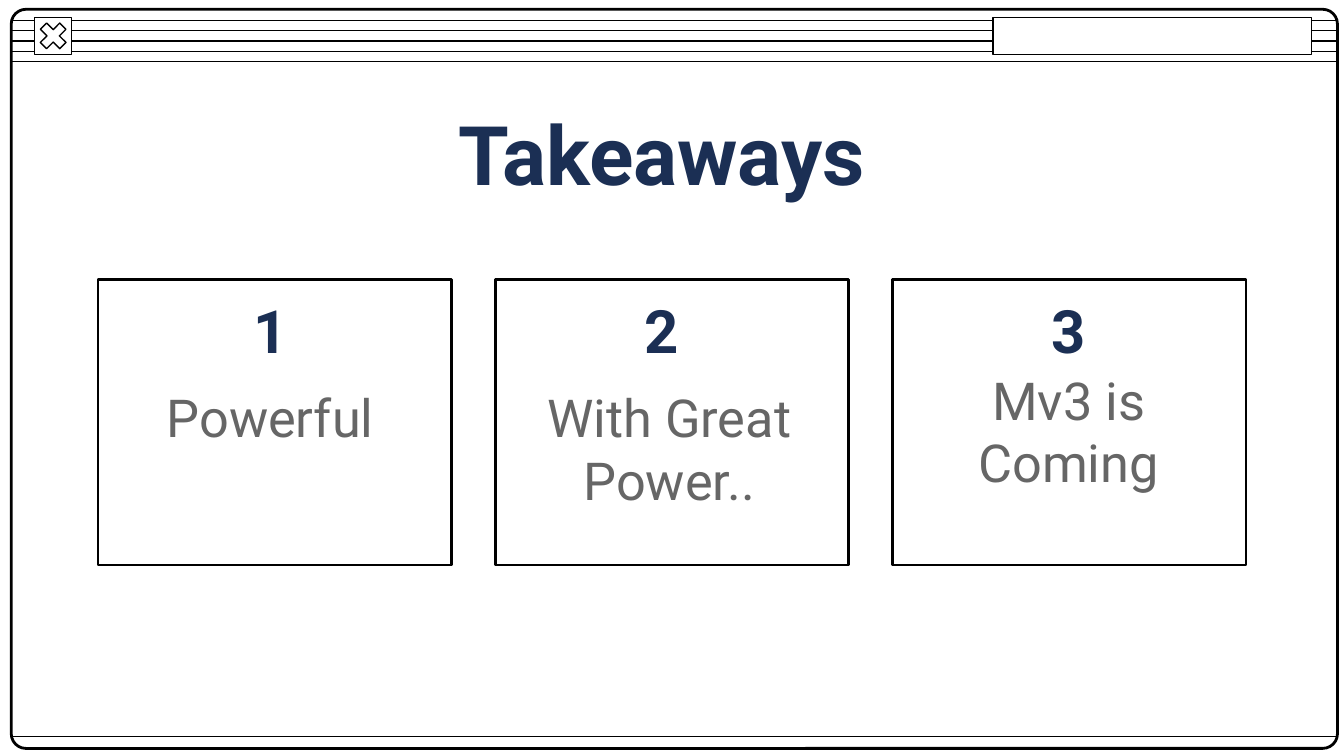
from lxml import etree
from pptx import Presentation
from pptx.dml.color import RGBColor
from pptx.enum.shapes import MSO_CONNECTOR, MSO_SHAPE
from pptx.enum.text import MSO_ANCHOR, MSO_AUTO_SIZE, PP_ALIGN
from pptx.oxml.ns import qn
from pptx.util import Pt

BLACK = RGBColor(0, 0, 0)
WHITE = RGBColor(255, 255, 255)
NAVY = RGBColor(0x1B, 0x2F, 0x54)
GRAY = RGBColor(0x66, 0x66, 0x66)
RECT = MSO_SHAPE.RECTANGLE
ROUND = MSO_SHAPE.ROUNDED_RECTANGLE
CROSS = MSO_SHAPE.MATH_MULTIPLY
STRAIGHT = MSO_CONNECTOR.STRAIGHT
CENTER = PP_ALIGN.CENTER
TOP = MSO_ANCHOR.TOP
FIXED = MSO_AUTO_SIZE.NONE


class Canvas:
    font = "Roboto"

    def __init__(self, slide):
        self.slide = slide

    def box(self, kind, x, y, w, h, width, fill=None, ink=BLACK, adj=None):
        shape = self.slide.shapes.add_shape(kind, Pt(x), Pt(y), Pt(w), Pt(h))
        shape.shadow.inherit = False
        if fill is None:
            shape.fill.background()
        else:
            shape.fill.solid()
            shape.fill.fore_color.rgb = fill
        shape.line.color.rgb = ink
        shape.line.width = Pt(width)
        if adj is not None:
            shape.adjustments[0] = adj

    def rule(self, y, left, right):
        line = self.slide.shapes.add_connector(
            STRAIGHT, Pt(left), Pt(y), Pt(right), Pt(y))
        line.line.color.rgb = BLACK
        line.line.width = Pt(0.75)
        etree.SubElement(line._element.spPr, qn("a:effectLst"))

    def set_text(self, shape, text, size, color, bold):
        frame = shape.text_frame
        frame.word_wrap = True
        frame.auto_size = FIXED
        frame.vertical_anchor = TOP
        frame.text = text
        para = frame.paragraphs[0]
        para.alignment = CENTER
        para.font.name = self.font
        para.font.size = Pt(size)
        para.font.bold = bold
        para.font.color.rgb = color

    def title(self, text, x, y, w, h):
        shape = self.slide.shapes.title
        shape.left, shape.top = Pt(x), Pt(y)
        shape.width, shape.height = Pt(w), Pt(h)
        self.set_text(shape, text, 44, NAVY, True)

    def label(self, text, mid, y, w, h, size, color, bold=False):
        shape = self.slide.shapes.add_textbox(
            Pt(mid - w / 2), Pt(y), Pt(w), Pt(h))
        self.set_text(shape, text, size, color, bold)


def main():
    deck = Presentation()
    deck.slide_width, deck.slide_height = Pt(720), Pt(405)
    page = Canvas(deck.slides.add_slide(deck.slide_layouts[5]))

    left, right = 6, 716.5
    for row in range(5):
        page.rule(11 + 5.5 * row, left, right)
    page.box(ROUND, left, 5, right - left, 396, 1.5, adj=0.02)
    page.box(RECT, 18.5, 9.25, 20, 20, 0.75, WHITE)
    page.box(CROSS, 18.5, 9.25, 20, 20, 0.75, WHITE, adj=0.235)
    page.rule(394.5, left, right)
    page.box(RECT, 532, 9.25, 170.5, 20, 0.75, WHITE)

    page.title("Takeaways", 28, 52, 653, 62)

    cards = [
        ("Powerful", 144.75, 144.75, 203, 184),
        ("With Great Power..", 354.25, 358.5, 203, 193),
        ("Mv3 is Coming", 572.5, 572.5, 193.5, 163),
    ]
    for i, (text, head, mid, y, w) in enumerate(cards):
        page.box(RECT, 52.5 + 212.75 * i, 149.75, 189.5, 153, 1.5)
        page.label(str(i + 1), head, 154, 100, 46, 32, NAVY, True)
        page.label(text, mid, y, w, 75, 28, GRAY)

    deck.save("out.pptx")


if __name__ == "__main__":
    main()
